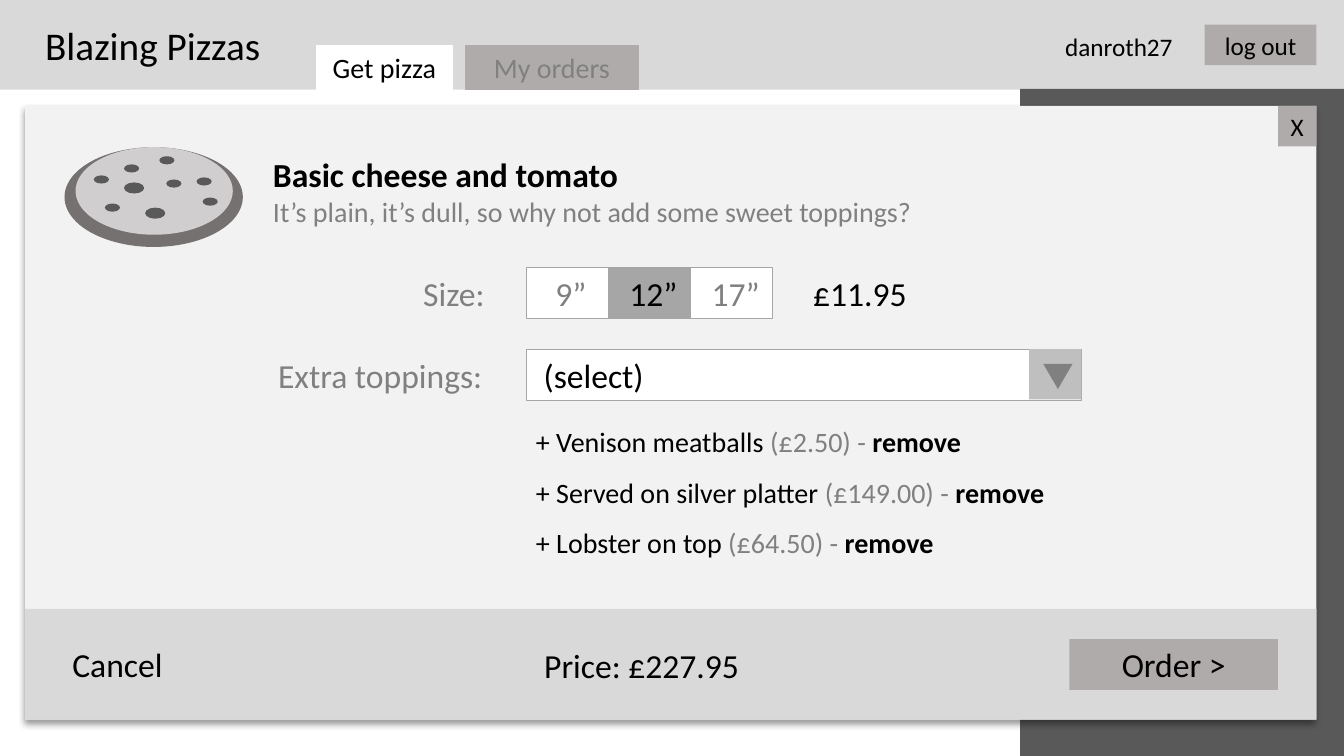
from lxml.etree import SubElement
from pptx import Presentation
from pptx.dml.color import RGBColor
from pptx.enum.shapes import MSO_SHAPE
from pptx.enum.text import MSO_ANCHOR, PP_ALIGN
from pptx.oxml.ns import qn
from pptx.util import Pt

FONT = "Calibri"
COLORS = {
    "ink": "000000", "muted": "808080", "white": "FFFFFF", "bar": "D9D9D9",
    "button": "AFABAB", "dark": "595959", "dialog": "F2F2F2", "outline": "A6A6A6",
    "arrow_box": "BFBFBF", "crust": "767171", "cheese": "D0CECE",
}
DIALOG_LEFT, DIALOG_TOP, DIALOG_WIDTH = 18, 75.6, 922.3
FIELD_LEFT, FIELD_HEIGHT = 375.8, 36.3
SIZE_WIDTH = 58.8


def rgb(name):
    """Look up a palette colour."""
    return RGBColor.from_string(COLORS[name])


def style_run(run, size, color, bold=False):
    """Set the font of one run."""
    run.font.name = FONT
    run.font.size = Pt(size)
    run.font.bold = bold
    run.font.color.rgb = rgb(color)


def add_block(shapes, box, fill, outline=None, kind=MSO_SHAPE.RECTANGLE):
    """Add a flat filled shape, with a thin outline if one is named."""
    block = shapes.add_shape(kind, *map(Pt, box))
    block.shadow.inherit = False
    block.fill.solid()
    block.fill.fore_color.rgb = rgb(fill)
    if outline:
        block.line.color.rgb = rgb(outline)
        block.line.width = Pt(0.75)
    else:
        block.line.fill.background()
    return block


def add_button(shapes, box, label, size, fill="button", color="ink",
               outline=None, align=PP_ALIGN.CENTER):
    """Add a rectangle with a one-line label."""
    button = add_block(shapes, box, fill, outline)
    frame = button.text_frame
    frame.word_wrap = True
    frame.vertical_anchor = MSO_ANCHOR.MIDDLE
    frame.text = label
    frame.paragraphs[0].alignment = align
    style_run(frame.paragraphs[0].runs[0], size, color)


def add_label(shapes, box, lines, wrap=False, spacing=None):
    """Add a text box; each line is a list of (text, size, color, bold)."""
    frame = shapes.add_textbox(*map(Pt, box)).text_frame
    frame.word_wrap = wrap
    for index, line in enumerate(lines):
        paragraph = frame.add_paragraph() if index else frame.paragraphs[0]
        paragraph.line_spacing = spacing
        for text, *style in line:
            run = paragraph.add_run()
            run.text = text
            style_run(run, *style)


def add_soft_shadow(block):
    """Give a shape a soft shadow that falls straight down."""
    effects = block._element.spPr.find(qn("a:effectLst"))
    shadow = SubElement(effects, qn("a:outerShdw"), blurRad=str(Pt(4)),
                        dist=str(Pt(3)), dir="5400000", algn="t", rotWithShape="0")
    color = SubElement(shadow, qn("a:srgbClr"), val=COLORS["ink"])
    SubElement(color, qn("a:alpha"), val="40000")


def add_pizza(shapes):
    """Draw the pizza as one group of ellipses."""
    pizza = shapes.add_group_shape().shapes
    small, large = (10.8, 5.8), (14.4, 7.9)
    olives = [
        (88.6, 117.4, *small), (118.8, 128.2, *small), (74.9, 145.4, *small),
        (144.7, 141.1, *small), (113.8, 111.6, *small), (103.7, 148.3, *large),
        (140.4, 126.7, *small), (88.6, 130.3, *large), (67, 125.3, *small),
    ]
    layers = [((46.1, 105.1, 127.4, 71.3), "crust"), ((54, 105.1, 112.3, 62.6), "cheese")]
    for box, fill in layers + [(olive, "dark") for olive in olives]:
        add_block(pizza, box, fill, kind=MSO_SHAPE.OVAL)


def add_header(shapes):
    """Add the top bar with its tabs and account controls."""
    add_block(shapes, (0, 0, 960, 64), "bar")
    add_label(shapes, (25.2, 11.5, 169.2, 41.2), [[("Blazing Pizzas", 28, "ink")]])
    add_button(shapes, (226, 32.4, 97.2, 31.5), "Get pizza", 20, "white", outline="white")
    add_button(shapes, (332.6, 32.4, 123.3, 31.5), "My orders", 20, color="muted",
               outline="button")
    add_label(shapes, (753.8, 19, 92.2, 29), [[("danroth27", 18, "ink")]])
    add_button(shapes, (860.5, 17.6, 79.8, 29), "log out", 18)


def add_options(shapes):
    """Add the size picker, the topping picker and the chosen toppings."""
    size_top, topping_top = 191.2, 249.8
    add_label(shapes, (295.2, size_top, 59, FIELD_HEIGHT), [[("Size:", 24, "muted")]])
    for index, size in enumerate(("9”", "12”", "17”")):
        chosen = size == "12”"
        box = (FIELD_LEFT + index * SIZE_WIDTH, size_top, SIZE_WIDTH, FIELD_HEIGHT)
        add_button(shapes, box, f" {size}", 24, "outline" if chosen else "white",
                   "ink" if chosen else "muted", "outline")
    add_label(shapes, (573.8, size_top, 82, FIELD_HEIGHT), [[("£11.95", 24, "ink")]])

    add_label(shapes, (191.5, topping_top, 162, FIELD_HEIGHT),
              [[("Extra toppings:", 24, "muted")]])
    add_button(shapes, (FIELD_LEFT, topping_top, 396.7, FIELD_HEIGHT), " (select)", 24,
               "white", outline="outline", align=PP_ALIGN.LEFT)
    add_block(shapes, (735.1, 249.4, 37.4, 36), "arrow_box")
    arrow = add_block(shapes, (745.2, 259.9, 20.9, 18), "muted",
                      kind=MSO_SHAPE.ISOSCELES_TRIANGLE)
    arrow.rotation = 180

    toppings = [("Venison meatballs", "2.50"), ("Served on silver platter", "149.00"),
                ("Lobster on top", "64.50")]
    lines = [[(f"+ {name} ", 20, "ink"), (f"(£{price}) - ", 20, "muted"),
              ("remove", 20, "ink", True)] for name, price in toppings]
    add_label(shapes, (FIELD_LEFT, 288, 381.6, 112.3), lines, spacing=1.5)


def add_footer(shapes):
    """Add the dialog's bottom bar with price and actions."""
    add_block(shapes, (DIALOG_LEFT, 434.9, DIALOG_WIDTH, 79.2), "bar")
    add_button(shapes, (763.9, 456.5, 149, FIELD_HEIGHT), "Order >", 24)
    add_label(shapes, (44.6, 456.5, 80, FIELD_HEIGHT), [[("Cancel", 24, "ink")]])
    add_label(shapes, (381.6, 457.2, 154.8, FIELD_HEIGHT), [[("Price: £227.95", 24, "ink")]])


def main():
    """Build the pizza order screen."""
    deck = Presentation()
    deck.slide_width, deck.slide_height = Pt(960), Pt(540)
    shapes = deck.slides.add_slide(deck.slide_layouts[6]).shapes

    add_header(shapes)
    add_block(shapes, (728.6, 63.4, 231.4, 476.6), "dark")
    dialog = add_block(shapes, (DIALOG_LEFT, DIALOG_TOP, DIALOG_WIDTH, 438.5), "dialog")
    add_soft_shadow(dialog)
    add_button(shapes, (912.9, DIALOG_TOP, 27.4, 29), "X", 18)
    add_pizza(shapes)
    add_label(shapes, (187.9, 106.6, 567.4, 60.5), [
        [("Basic cheese and tomato", 24, "ink", True)],
        [("It’s plain, it’s dull, so why not add some sweet toppings?", 20, "muted")],
    ], wrap=True)
    add_options(shapes)
    add_footer(shapes)
    deck.save("out.pptx")


main()
